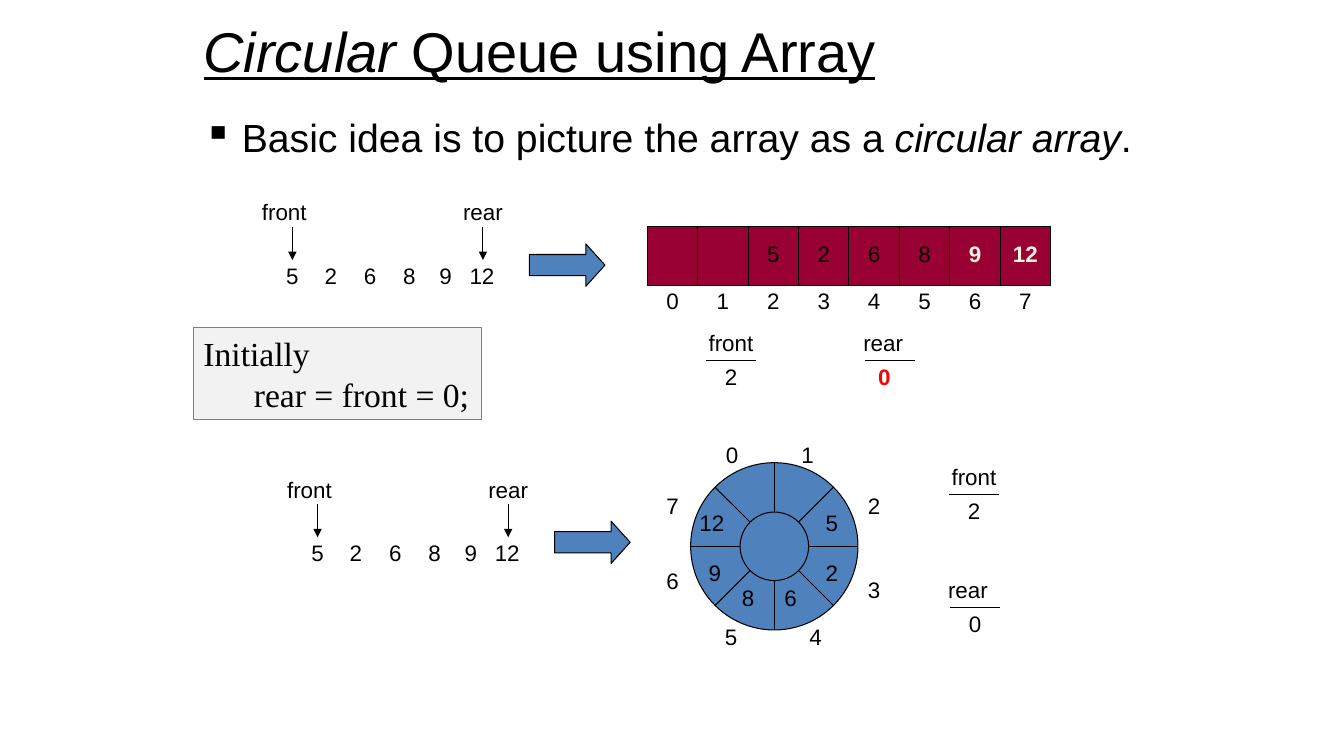
import math

import pptx
import pptx.chart
import pptx.dml.color
import pptx.enum.shapes
import pptx.enum.text
import pptx.oxml
import pptx.util
from lxml import etree
from pptx.util import Inches

SHAPE = pptx.enum.shapes.MSO_SHAPE
ALIGN = pptx.enum.text.PP_ALIGN
ANCHOR = pptx.enum.text.MSO_ANCHOR
QN = pptx.oxml.ns.qn
QUEUE = ["5", "2", "6", "8", "9", "12"]

prs = pptx.Presentation()
prs.slide_width, prs.slide_height = Inches(13.33), Inches(7.5)
s = prs.slides.add_slide(prs.slide_layouts[6])


def rgb(hex_color):
    return pptx.dml.color.RGBColor.from_string(hex_color)


def draw(kind, at, color=None, text="", size=16, font="Arial", ink="000000"):
    """Add a text box, line or preset shape; at is left, top, width, height (a line: both ends)."""
    box = [Inches(v) for v in at]
    if kind == "line":
        sp = s.shapes.add_connector(pptx.enum.shapes.MSO_CONNECTOR.STRAIGHT, *box)
        etree.SubElement(sp.line._get_or_add_ln().getparent(), QN("a:effectLst"))
    elif kind == "text":
        sp = s.shapes.add_textbox(*box)
    else:
        sp = s.shapes.add_shape(kind, *box)
        sp.shadow.inherit = False
        sp.fill.solid()
        sp.fill.fore_color.rgb = rgb(color)
    if kind != "text":
        sp.line.color.rgb = rgb("000000")
        sp.line.width = pptx.util.Pt(0.75)
    if text:
        sp.text_frame.text = text
        sp.text_frame.word_wrap = False
        for p in sp.text_frame.paragraphs:
            p.alignment = ALIGN.LEFT
            for r in p.runs:
                r.font.size, r.font.name = pptx.util.Pt(size), font
                r.font.color.rgb = rgb(ink)
    return sp


def label(text, center, top, ink="000000", bold=False):
    width = {"front": 0.65, "rear": 0.6, "12": 0.45}.get(text, 0.32)
    sp = draw("text", (center - width / 2, top, width, 0.37), text=text, ink=ink)
    p = sp.text_frame.paragraphs[0]
    p.alignment = ALIGN.CENTER
    p.runs[0].font.bold = bold


# Title and main point
for at, pieces, size, anchor in [
    ((1.92, 0, 9.58, 1), [("Circular ", True), ("Queue using Array", False)], 40, ANCHOR.MIDDLE),
    ((1.92, 1.08, 9.58, 1.33), [("Basic idea is to picture the array as a ", False),
                                ("circular array", True), (".", False)], 28, ANCHOR.TOP),
]:
    tf = draw("text", at).text_frame
    tf.word_wrap, tf.vertical_anchor = True, anchor
    p = tf.paragraphs[0]
    if size == 28:
        pPr = p._p.get_or_add_pPr()
        pPr.set("marL", str(Inches(0.38)))
        pPr.set("indent", str(-Inches(0.38)))
        etree.SubElement(pPr, QN("a:buChar")).set("char", "▪")
    for text, italic in pieces:
        r = p.add_run()
        r.text = text
        r.font.name, r.font.size = "Arial", pptx.util.Pt(size)
        r.font.color.rgb = rgb("000000")
        r.font.italic, r.font.underline = italic, size == 40

# The two abstract queues, each with a block arrow to its storage
for dx, dy in [(0, 0), (0.25, 2.75)]:
    label("front", 2.82 + dx, 1.92 + dy)
    label("rear", 4.79 + dx, 1.92 + dy)
    for value, x in zip(QUEUE, [2.9, 3.28, 3.67, 4.06, 4.42, 4.78]):
        label(value, x + dx, 2.55 + dy)
    for x in (2.9, 4.79):
        arrow = draw("line", (x + dx, 2.25 + dy, x + dx, 2.58 + dy))
        etree.SubElement(arrow.line._get_or_add_ln(), QN("a:tailEnd")).set("type", "triangle")
    block_arrow = draw(SHAPE.RIGHT_ARROW, (5.25 + dx, 2.42 + dy, 0.75, 0.42), "4F81BD")
    block_arrow.adjustments[0], block_arrow.adjustments[1] = 0.5, 0.45

# Linear array with eight cells
array = draw(SHAPE.RECTANGLE, (6.42, 2.25, 4, 0.58), "990033")
for i in range(1, 8):
    x = 6.42 + 0.5 * i
    divider = draw("line", (x, 2.25, x, 2.83))
    if i == 4:
        divider.begin_connect(array, 0)
        divider.end_connect(array, 2)
for i in range(8):
    label(str(i), 6.67 + 0.5 * i, 2.8)
for i, value in enumerate(QUEUE, start=2):
    late = i >= 6
    label(value, 6.67 + 0.5 * i, 2.33, "F4F1E3" if late else "000000", late)

# Front and rear readings: name, its centre, top, value, its centre, line start
for name, x, top, value, value_x, line_x in [
    ("front", 7.25, 3.22, "2", 7.25, 7),
    ("rear", 8.76, 3.22, "0", 8.77, 8.58),
    ("front", 9.66, 4.55, "2", 9.66, 9.41),
    ("rear", 9.6, 5.67, "0", 9.67, 9.42),
]:
    wrapped = line_x == 8.58
    label(name, x, top)
    label(value, value_x, top + 0.33, "FF0000" if wrapped else "000000", wrapped)
    draw("line", (line_x, top + 0.36, line_x + 0.5, top + 0.36))

# Circular array: rings, spokes, slot numbers and values
cx, cy, outer, inner = 7.68, 5.42, 0.83, 0.34
for radius in (outer, inner):
    draw(SHAPE.OVAL, (cx - radius, cy - radius, 2 * radius, 2 * radius), "4F81BD")
for i in range(8):
    dx, dy = math.cos(i * math.pi / 4), math.sin(i * math.pi / 4)
    draw("line", (cx + inner * dx, cy + inner * dy, cx + outer * dx, cy + outer * dy))
slots = [(7.26, 4.33), (8.01, 4.33), (8.67, 4.83), (8.67, 5.67),
         (8.09, 6.13), (7.25, 6.13), (6.67, 5.58), (6.67, 4.83)]
for i, (x, top) in enumerate(slots):
    label(str(i), x, top)
places = [(8.25, 5), (8.25, 5.5), (7.84, 5.75), (7.42, 5.75), (7.09, 5.5), (7.06, 5)]
for value, (x, top) in zip(QUEUE, places):
    label(value, x, top)

# Initial state
note = draw(SHAPE.RECTANGLE, (1.92, 3.25, 2.86, 0.91), "F2F2F2",
            "Initially\nrear = front = 0;", 24, "Times New Roman")
note.line.color.rgb = rgb("7F7F7F")
note.text_frame.paragraphs[1]._p.get_or_add_pPr().set("marL", str(Inches(0.5)))

prs.save("out.pptx")
